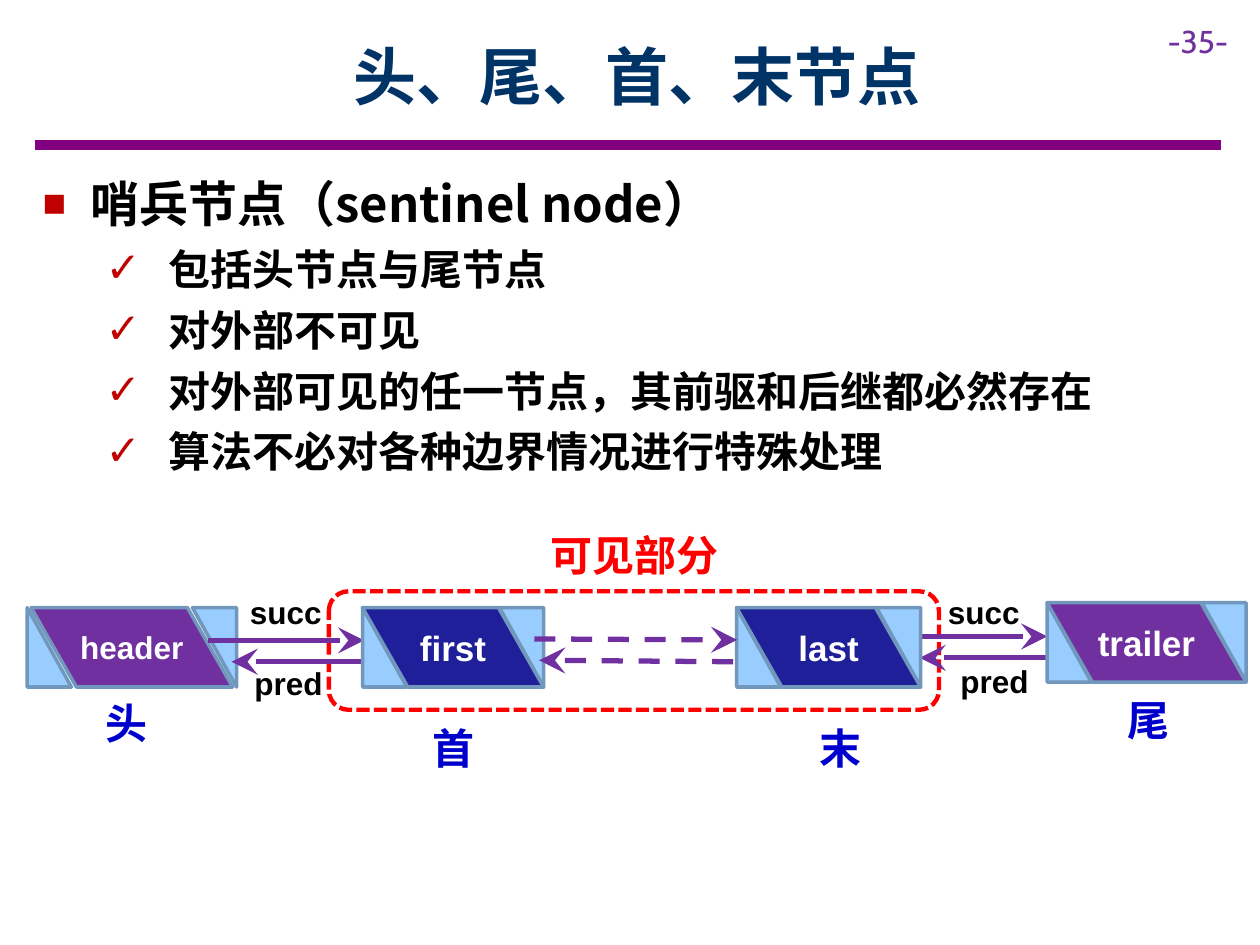
from lxml import etree
from pptx import Presentation
from pptx.dml.color import RGBColor
from pptx.enum.dml import MSO_LINE
from pptx.enum.shapes import MSO_CONNECTOR, MSO_SHAPE
from pptx.enum.text import MSO_ANCHOR, PP_ALIGN
from pptx.oxml.ns import qn
from pptx.util import Cm, Pt

STRAIGHT = MSO_CONNECTOR.STRAIGHT
PARALLELOGRAM = MSO_SHAPE.PARALLELOGRAM
TRIANGLE = MSO_SHAPE.RIGHT_TRIANGLE
ROUNDED = MSO_SHAPE.ROUNDED_RECTANGLE
DASH = MSO_LINE.DASH
SHORT_DASH = MSO_LINE.SQUARE_DOT
MIDDLE = MSO_ANCHOR.MIDDLE
CENTER = PP_ALIGN.CENTER
LEFT = PP_ALIGN.LEFT
CJK = "Noto Sans CJK SC"
PURPLE = "7030A0"
NAVY = "1F1F99"


def color(value):
    return RGBColor.from_string(value)


def write(para, text, size, font, value, bold=True, align=LEFT):
    para.text = text
    para.alignment = align
    para.font.size = Pt(size)
    para.font.name = font
    para.font.bold = bold
    para.font.color.rgb = color(value)
    if font == CJK:
        latin = para.font._element.find(qn("a:latin"))
        east_asian = etree.Element(qn("a:ea"), typeface=font)
        latin.addnext(east_asian)


deck = Presentation()
deck.slide_width, deck.slide_height = Cm(25.4), Cm(19.05)
page = deck.slides.add_slide(deck.slide_layouts[6])

frame = page.shapes.add_shape(ROUNDED, Cm(6.63), Cm(11.92), Cm(12.3), Cm(2.39))
frame.shadow.inherit = False
frame.fill.solid()
frame.fill.fore_color.rgb = color("FFFFFF")
frame.line.color.rgb = color("FF0000")
frame.line.width = Pt(2.5)
frame.line.dash_style = SHORT_DASH

nodes = [
    ("header", 0.55, 12.25, 4.22, 0.08, 18, PURPLE),
    ("first", 7.31, 12.25, 3.65, 0, 20, NAVY),
    ("last", 14.85, 12.25, 3.71, 0, 20, NAVY),
    ("trailer", 21.11, 12.15, 4.01, 0, 20, PURPLE),
]
solid_arrows = [
    (4.19, 12.91, 7.34, 12.91),
    (7.62, 13.34, 4.67, 13.34),
    (17.96, 12.83, 21.11, 12.83),
    (21.51, 13.26, 18.54, 13.26),
]
dashed_arrows = [(10.77, 12.88, 14.86, 12.9), (14.78, 13.34, 10.87, 13.31)]
rule = (0.7, 2.92, 24.61, 2.92)
steps = [("line", rule), ("node", nodes[0])]
steps += [("solid", arrow) for arrow in solid_arrows]
steps += [("node", node) for node in nodes[1:]]
steps += [("dashed", arrow) for arrow in dashed_arrows]

for kind, item in steps:
    if kind == "node":
        name, left, top, width, inset, size, fill = item
        group = page.shapes.add_group_shape()
        body_part = (PARALLELOGRAM, left + inset, width - 2 * inset, fill)
        ends = [
            (TRIANGLE, left, 0.89, "99CCFF"),
            (TRIANGLE, left + width - 0.89, 0.89, "99CCFF"),
        ]
        parts = [body_part] + ends if inset else ends + [body_part]
        for preset, x, part_width, part_fill in parts:
            part = group.shapes.add_shape(preset, Cm(x), Cm(top), Cm(part_width), Cm(1.6))
            part.shadow.inherit = False
            part.fill.solid()
            part.fill.fore_color.rgb = color(part_fill)
            part.line.color.rgb = color("7197BD")
            part.line.width = Pt(2)
            if preset == PARALLELOGRAM:
                part.adjustments[0] = 0.57
                part._element.spPr.find(qn("a:xfrm")).set("flipH", "1")
                part.text_frame.word_wrap = False
                part.text_frame.vertical_anchor = MIDDLE
                write(part.text_frame.paragraphs[0], name, size, "Arial", "FFFFFF", align=CENTER)
            elif x > left:
                part.rotation = 180
    else:
        line = page.shapes.add_connector(STRAIGHT, *[Cm(value) for value in item])
        line.line.color.rgb = color("800080" if kind == "line" else PURPLE)
        line.line.width = Pt(6 if kind == "line" else 3)
        if kind == "dashed":
            line.line.dash_style = DASH
        if kind != "line":
            outline = line.line._get_or_add_ln()
            etree.SubElement(outline, qn("a:tailEnd"), type="stealth", w="lg", len="lg")
        etree.SubElement(line._element.spPr, qn("a:effectLst"))

labels = [
    ("-35-", 23.29, 0.32, 2.11, 1.02, 18, "Cabin", PURPLE),
    ("头、尾、首、末节点", 2.29, 0.25, 21.11, 2.54, 36, CJK, "003366"),
    ("可见部分", 10.85, 10.54, 3.99, 1.27, 24, CJK, "FF0000"),
]
for text, left, top in [("succ", 4.79, 11.84), ("pred", 4.88, 13.26),
                        ("succ", 18.86, 11.84), ("pred", 19.11, 13.22)]:
    labels.append((text, left, top, 2.11, 1.02, 18, "Arial", "000000"))
for text, left, top in [("头", 1.88, 13.94), ("首", 8.47, 14.45),
                        ("末", 16.28, 14.45), ("尾", 22.48, 13.87)]:
    labels.append((text, left, top, 1.65, 1.27, 24, CJK, "0000CC"))

for text, left, top, width, height, size, font, value in labels:
    box = page.shapes.add_textbox(Cm(left), Cm(top), Cm(width), Cm(height))
    box.text_frame.word_wrap = True
    para = box.text_frame.paragraphs[0]
    is_title = size == 36
    write(para, text, size, font, value, font != "Cabin", CENTER if is_title else LEFT)
    if is_title:
        box.text_frame.vertical_anchor = MIDDLE

bullets = [("哨兵节点（sentinel node）", 0)]
bullets += [(text, 1) for text in [
    "包括头节点与尾节点",
    "对外部不可见",
    "对外部可见的任一节点，其前驱和后继都必然存在",
    "算法不必对各种边界情况进行特殊处理",
]]
bullet_styles = [(28, "■", 80, 0.97, 0.97), (24, "✓", 100, 2.54, 1.27)]
content = page.shapes.add_textbox(Cm(0.61), Cm(3.38), Cm(23.72), Cm(6.4))
content.text_frame.word_wrap = True
for index, (text, level) in enumerate(bullets):
    size, mark, percent, margin, hanging = bullet_styles[level]
    text_frame = content.text_frame
    para = text_frame.add_paragraph() if index else text_frame.paragraphs[0]
    para.level = level
    properties = para._element.get_or_add_pPr()
    properties.set("marL", str(Cm(margin)))
    properties.set("indent", str(-Cm(hanging)))
    bullet_color = etree.SubElement(properties, qn("a:buClr"))
    etree.SubElement(bullet_color, qn("a:srgbClr"), val="C00000")
    etree.SubElement(properties, qn("a:buSzPct"), val=str(percent * 1000))
    etree.SubElement(properties, qn("a:buFont"), typeface="Arial")
    etree.SubElement(properties, qn("a:buChar"), char=mark)
    para.space_after = Pt(6)
    write(para, text, size, CJK, "000000")

deck.save("out.pptx")
